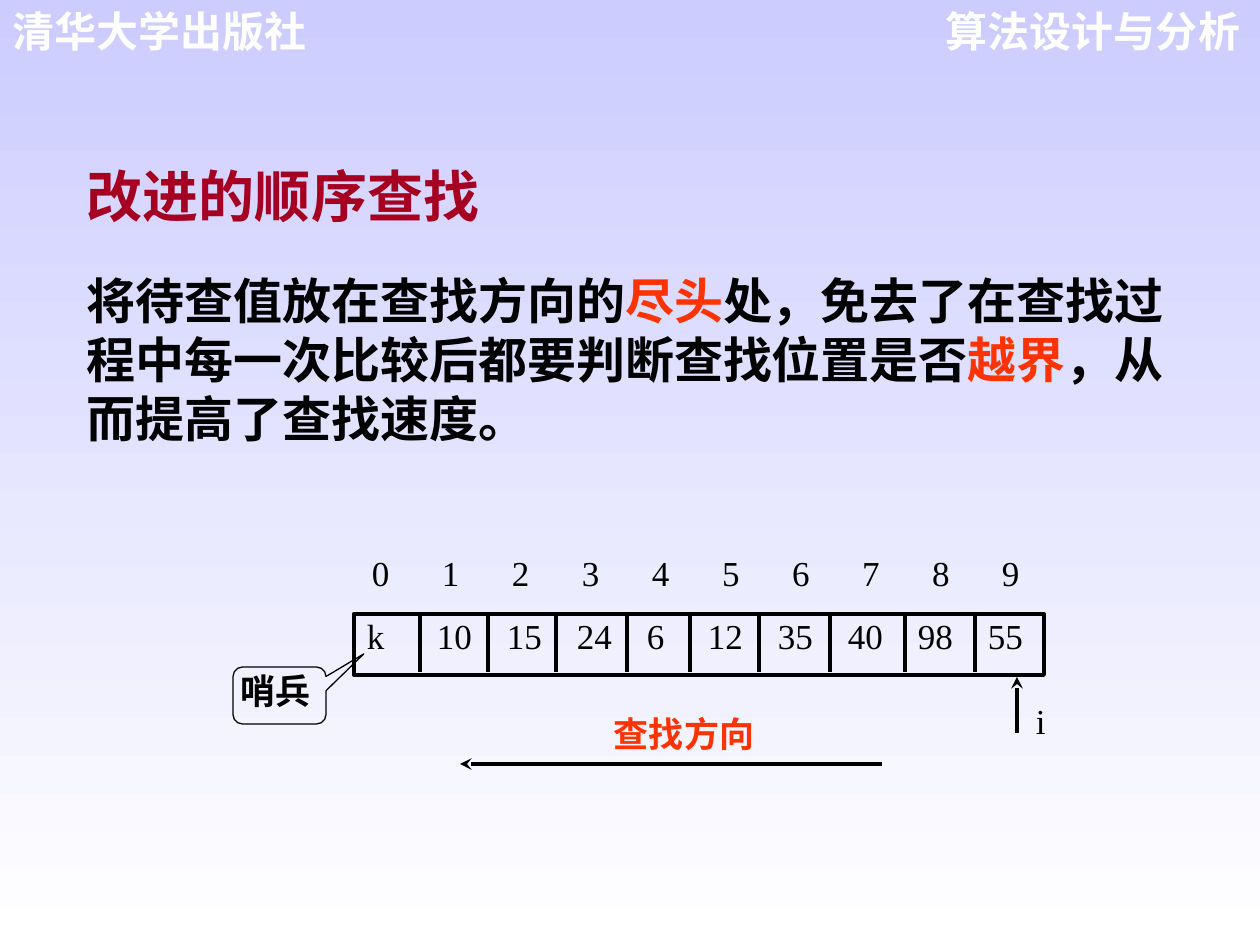
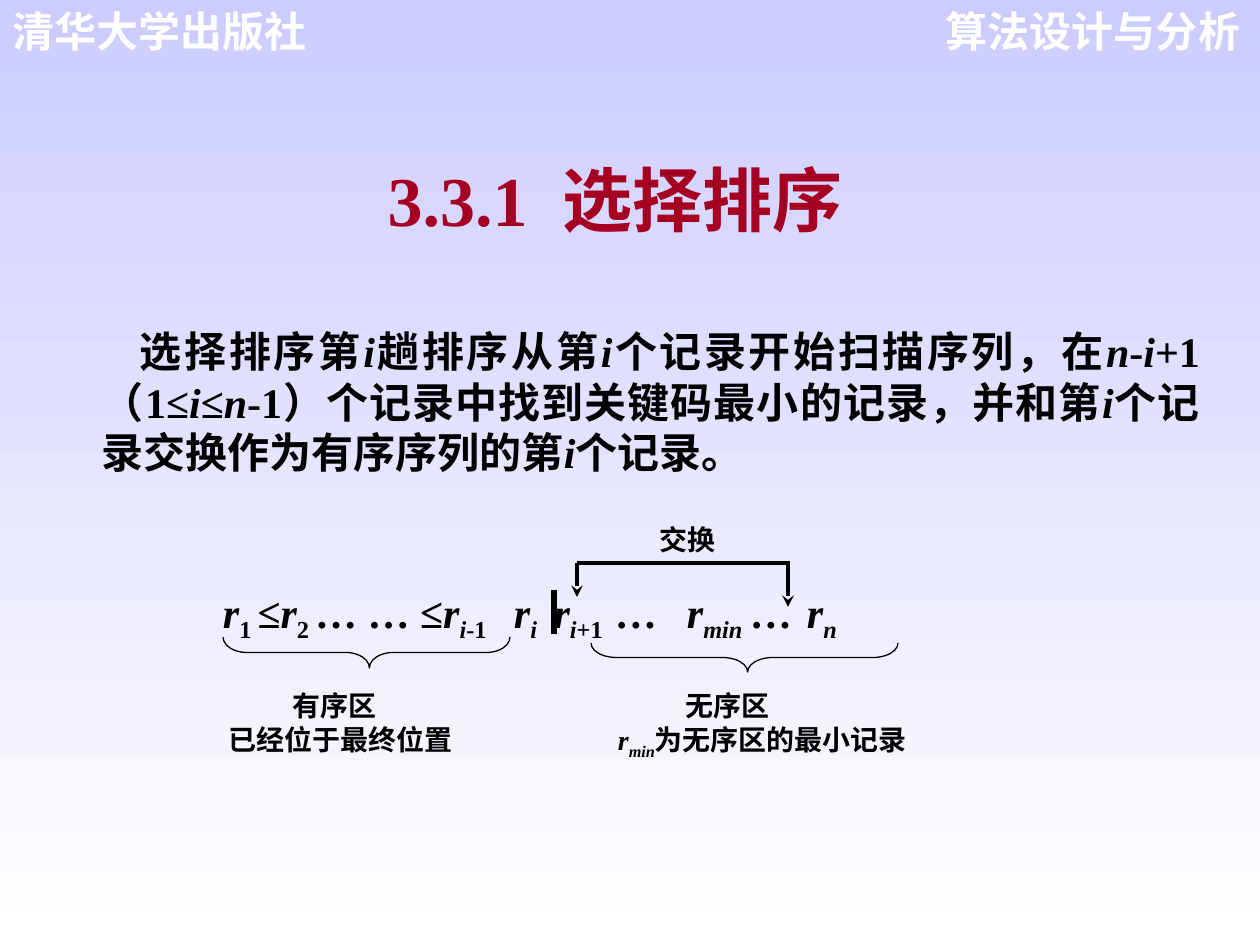
from dataclasses import dataclass

from lxml import etree
from pptx import Presentation
from pptx.dml.color import RGBColor
from pptx.enum.shapes import MSO_CONNECTOR, MSO_SHAPE
from pptx.enum.text import MSO_ANCHOR, PP_ALIGN
from pptx.oxml.ns import qn
from pptx.util import Emu, Pt

LINE = MSO_CONNECTOR.STRAIGHT
RECT = MSO_SHAPE.RECTANGLE
BRACE = MSO_SHAPE.RIGHT_BRACE
CALLOUT = MSO_SHAPE.ROUNDED_RECTANGULAR_CALLOUT
LEFT, MID, RIGHT, JUST = PP_ALIGN.LEFT, PP_ALIGN.CENTER, PP_ALIGN.RIGHT, PP_ALIGN.JUSTIFY
TOP = MSO_ANCHOR.TOP


@dataclass(frozen=True)
class Theme:
    sky: str = "CCCCFF"
    white: str = "FFFFFF"
    ink: str = "000000"
    wine: str = "A50021"
    red: str = "FF3300"
    sans: str = "Arial"
    serif: str = "Times New Roman"
    cjk: str = "Noto Sans CJK SC"
    title: int = 40
    head: int = 32
    body: int = 28
    text: int = 24
    label: int = 20
    note: int = 16
    thin: float = 0.75
    mid: float = 2.25
    thick: float = 3


T = Theme()
WIDE, HIGH = 1260, 945
PAD = (13, 6, 13, 6)
BARE = (0, 0, 0, 0)


def px(n):
    return Emu(round(n * 914400 / 126))


def rgb(code):
    return RGBColor.from_string(code)


def add_run(para, text, size, font=T.sans, color=T.ink, bold=True,
            italic=False, sub=False, gap=0):
    run = para.add_run()
    run.text = text
    face = run.font
    face.size, face.name, face.bold, face.italic = Pt(size), font, bold, italic
    face.color.rgb = rgb(color)
    props = run._r.get_or_add_rPr()
    if sub:
        props.set("baseline", "-25000")
    if gap:
        props.set("spc", str(gap * 100))
    etree.SubElement(props, qn("a:ea")).set("typeface", T.cjk)


def set_tabs(para, stops):
    tabs = etree.SubElement(para._p.get_or_add_pPr(), qn("a:tabLst"))
    for stop in stops:
        etree.SubElement(tabs, qn("a:tab"), pos=str(px(stop)), algn="l")


def set_frame(shape, pad, align):
    """Prepare the text frame and return its first paragraph."""
    frame = shape.text_frame
    frame.word_wrap = True
    frame.vertical_anchor = TOP
    (frame.margin_left, frame.margin_top,
     frame.margin_right, frame.margin_bottom) = map(px, pad)
    para = frame.paragraphs[0]
    para.alignment = align
    return para


def add_text(slide, x, y, w, h, pad=PAD, align=LEFT):
    box = slide.shapes.add_textbox(px(x), px(y), px(w), px(h))
    return set_frame(box, pad, align)


def add_outline(slide, kind, x, y, w, h, weight):
    shape = slide.shapes.add_shape(kind, px(x), px(y), px(w), px(h))
    shape.shadow.inherit = False
    shape.fill.background()
    shape.line.color.rgb = rgb(T.ink)
    shape.line.width = Pt(weight)
    return shape


def add_line(slide, x1, y1, x2, y2, weight=T.mid, arrow=False):
    line = slide.shapes.add_connector(LINE, px(x1), px(y1), px(x2), px(y2))
    line.line.color.rgb = rgb(T.ink)
    line.line.width = Pt(weight)
    if arrow:
        etree.SubElement(line.line._get_or_add_ln(), qn("a:tailEnd"), type="stealth")
    etree.SubElement(line._element.spPr, qn("a:effectLst"))


def add_brace(slide, x, y, w, h, curve):
    """Lay a right brace on its side, so that its tip points down."""
    brace = add_outline(slide, BRACE, x + (w - h) / 2, y + (h - w) / 2, h, w, T.thin)
    brace.rotation = 90
    brace.adjustments[0] = curve
    brace.adjustments[1] = 0.49


def paint_back(master):
    fill = master.background.fill
    fill.gradient()
    fill.gradient_angle = 270
    for stop, color, place in zip(fill.gradient_stops, (T.sky, T.white), (0, 1)):
        stop.color.rgb = rgb(color)
        stop.position = place


def new_slide(deck):
    slide = deck.slides.add_slide(deck.slide_layouts[6])
    for x, text, align in ((912, "算法设计与分析", RIGHT), (0, "清华大学出版社", LEFT)):
        add_run(add_text(slide, x, 0, 341, 63, align=align), text, T.text, color=T.white)
    return slide


def draw_array(slide, x, y):
    """Draw the searched array with its index row; x, y is the frame's corner."""
    pitch = 70
    stops = [pitch * n for n in range(1, 10)]
    para = add_text(slide, x + 10, y - 62, 687, 50, (8, 0, 13, 1))
    set_tabs(para, stops)
    add_run(para, "\t".join(map(str, range(10))), T.label, T.serif, bold=False)

    frame = add_outline(slide, RECT, x, y, 690, 61, T.mid)
    para = set_frame(frame, (13, 1, 13, 1), LEFT)
    set_tabs(para, [stop - 9 if stop > 4 * pitch else stop for stop in stops])
    cells = ("k", 10, 15, 24, 6, 12, 35, 40, 98, 55)
    add_run(para, "\t".join(map(str, cells)), T.label, T.serif, bold=False)
    for wall in (66, 134, 202, 273, 336, 405, 476, 551, 621):
        add_line(slide, x + wall, y, x + wall, y + 58)


def draw_search(slide, x, y):
    """Draw the array with its sentinel, pointer and search direction."""
    draw_array(slide, x, y)
    add_line(slide, x + 663, y + 119, x + 663, y + 63, arrow=True)
    para = add_text(slide, x + 682, y + 85, 38, 57, BARE)
    add_run(para, "i", T.label, T.serif, bold=False)
    para = add_text(slide, x + 260, y + 98, 154, 57, BARE)
    add_run(para, "查找方向", T.label, T.serif, T.red)
    add_line(slide, x + 528, y + 150, x + 106, y + 150, arrow=True)

    guard = add_outline(slide, CALLOUT, x - 121, y + 53, 93, 57, T.thin)
    for n, value in enumerate((0.906, -0.73, 0.167)):
        guard.adjustments[n] = value
    add_run(set_frame(guard, (5, 0, 0, 0), LEFT), "哨兵", T.label, T.serif)


def build_search(deck):
    slide = new_slide(deck)
    para = add_text(slide, 74, 265, 1121, 189)
    for text, color in (
        ("将待查值放在查找方向的", T.ink),
        ("尽头", T.red),
        ("处，免去了在查找过程中每一次比较后都要判断查找位置是否", T.ink),
        ("越界", T.red),
        ("，从而提高了查找速度。", T.ink),
    ):
        add_run(para, text, T.body, color=color)
    draw_search(slide, 354, 614)
    add_run(add_text(slide, 74, 155, 456, 81), "改进的顺序查找", T.head, color=T.wine)


def add_maths(para, size, parts):
    """Add (text, marks) runs, where mark i is italic and s is subscript."""
    for text, marks in parts:
        add_run(para, text, size, T.serif, italic="i" in marks, sub="s" in marks)


def draw_zones(slide, x, y):
    """Write the record sequence with the captions of its two zones."""
    para = add_text(slide, x, y, 873, 195, (13, 0, 13, 0))
    set_tabs(para, (31, 322, 423, 495, 558, 615))
    add_maths(para, T.text, (
        ("\tr", "i"), ("1 ", "s"), ("≤", ""), ("r", "i"), ("2 ", "s"),
        ("… … ≤", ""), ("r", "i"), ("i", "is"), ("-1", "s"),
        ("\tr", "i"), ("i ", "is"), (" r", "i"), ("i", "is"), ("+1", "s"),
        ("\t…", ""), ("\tr", "i"), ("min", "is"), ("\t…", ""),
        ("\tr", "i"), ("n", "is"),
    ))
    captions = (
        (27, (101, 494), (("\t有序区\t无序区", ""),)),
        (0, (37, 426), (("\t已经位于最终位置", ""), ("\tr", "i"),
                        ("min", "is"), ("为无序区的最小记录", ""))),
    )
    for space, stops, parts in captions:
        para = slide.shapes[-1].text_frame.add_paragraph()
        set_tabs(para, stops)
        para.space_before, para.line_spacing = Pt(space), 0.96
        add_maths(para, T.note, parts)


def draw_swap(slide, x, y):
    """Draw the bracket whose two arrows mark the swapped records."""
    add_line(slide, x, y, x + 213, y)
    add_line(slide, x + 211, y + 1, x + 211, y + 44, arrow=True)
    add_line(slide, x, y, x, y + 34, arrow=True)
    para = add_text(slide, x + 83, y - 40, 77, 33, BARE)
    add_run(para, "交换", T.note, T.serif)


def build_sort(deck):
    slide = new_slide(deck)
    para = add_text(slide, 195, 151, 840, 97, align=MID)
    add_run(para, "3.3.1", T.title, T.serif, T.wine)
    add_run(para, " ", T.title, T.serif, T.wine, gap=10)
    add_run(para, "选择排序", T.title, T.cjk, T.wine)

    para = add_text(slide, 89, 320, 1124, 164, align=JUST)
    para._p.get_or_add_pPr().set("indent", str(px(38)))
    add_maths(para, T.text, (
        ("选择排序第", ""), ("i", "i"), ("趟排序从第", ""), ("i", "i"),
        ("个记录开始扫描序列，在", ""), ("n", "i"), ("-", ""), ("i", "i"),
        ("+1（1≤", ""), ("i", "i"), ("≤", ""), ("n", "i"),
        ("-1）个记录中找到关键码最小的记录，并和第", ""), ("i", "i"),
        ("个记录交换作为有序序列的第", ""), ("i", "i"), ("个记录。", ""),
    ))
    draw_zones(slide, 179, 586)
    add_line(slide, 554, 590, 554, 634, T.thick)
    add_brace(slide, 591, 643, 307, 29, 0.87)
    add_brace(slide, 223, 637, 287, 31, 0.77)
    draw_swap(slide, 577, 563)


def main():
    deck = Presentation()
    deck.slide_width, deck.slide_height = px(WIDE), px(HIGH)
    paint_back(deck.slide_master)
    build_search(deck)
    build_sort(deck)
    deck.save("out.pptx")


if __name__ == "__main__":
    main()
